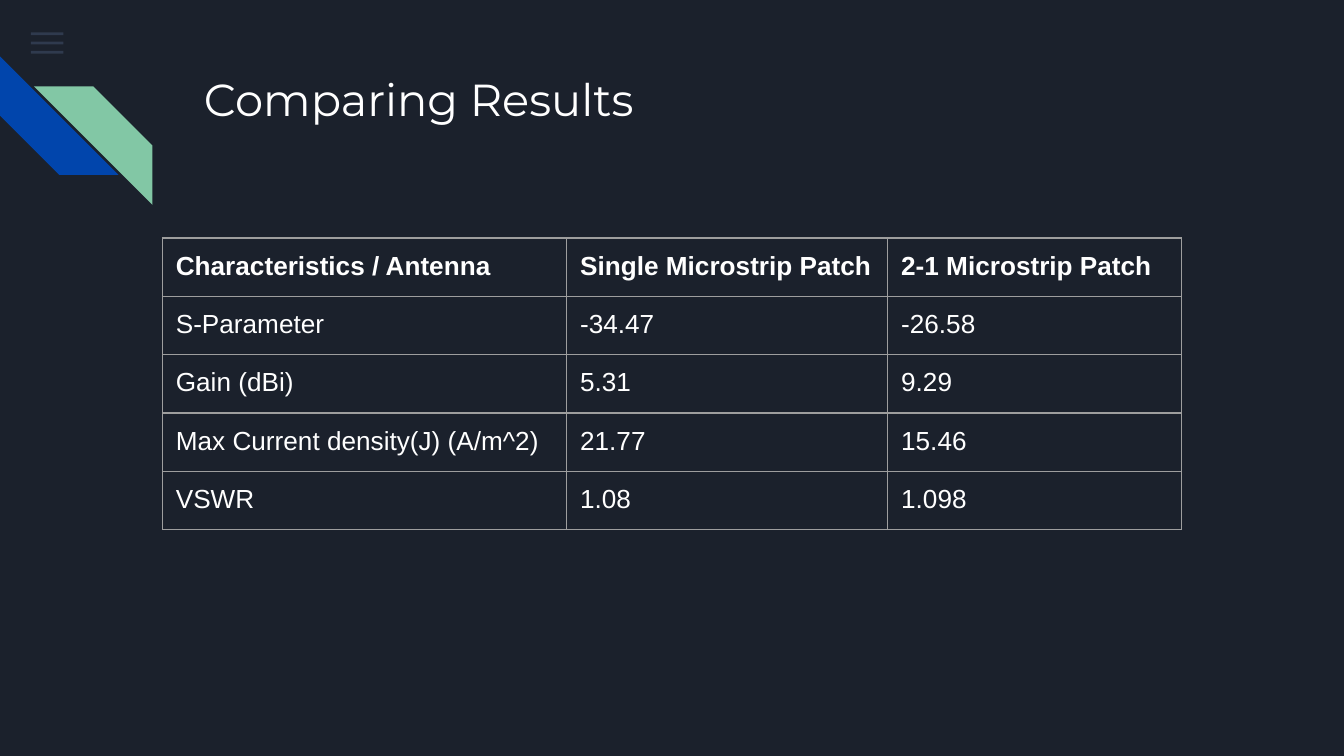
from dataclasses import dataclass

from lxml.etree import SubElement
from pptx import Presentation
from pptx.dml.color import RGBColor
from pptx.enum.shapes import MSO_SHAPE as Shape
from pptx.enum.text import MSO_ANCHOR as Anchor
from pptx.oxml import parse_xml
from pptx.oxml.ns import nsdecls, qn
from pptx.slide import Slide
from pptx.table import _Cell as Cell
from pptx.text.text import TextFrame
from pptx.util import Pt

COLORS = {
    "background": "1B212C",
    "menu": "55688B",
    "blue": "0145AC",
    "green": "82C7A5",
    "text": "FFFFFF",
    "border": "9E9E9E",
}
INSET = 7.2
ROW_HEIGHT = 30
COL_WIDTHS = (216.6, 172, 157.6)
ROWS = (
    ("Characteristics / Antenna", "Single Microstrip Patch", "2-1 Microstrip Patch"),
    ("S-Parameter", "-34.47", "-26.58"),
    ("Gain (dBi)", "5.31", "9.29"),
    ("Max Current density(J) (A/m^2)", "21.77", "15.46"),
    ("VSWR", "1.08", "1.098"),
)


@dataclass(frozen=True)
class Block:
    kind: Shape
    left: float
    top: float
    width: float
    height: float
    color: str
    alpha: int = 100
    rotation: float = 0
    flip: bool = False


MENU_BARS = [
    Block(Shape.RECTANGLE, 16.6, 17.3 + 4.95 * i, 17.4, 1.5, "menu", alpha=36)
    for i in range(3)
]
STRIPES = [
    Block(Shape.DIAGONAL_STRIPE, 0, 30.2, 63.5, 63.5, "blue", rotation=270),
    Block(Shape.DIAGONAL_STRIPE, 18.2, 46.3, 63.5, 63.5, "green", flip=True),
]


def rgb(name: str) -> RGBColor:
    return RGBColor.from_string(COLORS[name])


def draw_block(s: Slide, block: Block) -> None:
    sp = s.shapes.add_shape(
        block.kind, Pt(block.left), Pt(block.top), Pt(block.width), Pt(block.height)
    )
    sp.shadow.inherit = False
    sp.fill.solid()
    sp.fill.fore_color.rgb = rgb(block.color)
    sp.line.fill.background()
    sp.rotation = block.rotation
    if block.flip:
        sp._element.spPr.find(qn("a:xfrm")).set("flipH", "1")
    if block.alpha < 100:
        color = sp._element.spPr.find(qn("a:solidFill"))[0]
        SubElement(color, qn("a:alpha")).set("val", str(block.alpha * 1000))


def write(tf: TextFrame, text: str, font: str, size: float, bold: bool = False) -> None:
    tf.text = text
    r = tf.paragraphs[0].runs[0]
    r.font.name = font
    r.font.size = Pt(size)
    r.font.bold = bold
    r.font.color.rgb = rgb("text")


def set_margins(box: TextFrame | Cell) -> None:
    box.margin_left = box.margin_right = Pt(INSET)
    box.margin_top = box.margin_bottom = Pt(INSET)


def draw_title(s: Slide, text: str) -> None:
    tf = s.shapes.add_textbox(Pt(102.2), Pt(31), Pt(554.4), Pt(72)).text_frame
    tf.word_wrap = True
    tf.vertical_anchor = Anchor.TOP
    set_margins(tf)
    write(tf, text, "Montserrat", 24)


def add_borders(cell: Cell) -> None:
    tcPr = cell._tc.get_or_add_tcPr()
    for i, side in enumerate(("lnL", "lnR", "lnT", "lnB")):
        tcPr.insert(i, parse_xml(
            f'<a:{side} {nsdecls("a")} w="{Pt(0.75)}"><a:solidFill>'
            f'<a:srgbClr val="{COLORS["border"]}"/></a:solidFill></a:{side}>'
        ))


def draw_table(s: Slide) -> None:
    table = s.shapes.add_table(
        len(ROWS), len(COL_WIDTHS), Pt(87), Pt(127.5),
        Pt(sum(COL_WIDTHS)), Pt(ROW_HEIGHT * len(ROWS)),
    ).table
    table.first_row = table.horz_banding = False
    for column, width in zip(table.columns, COL_WIDTHS):
        column.width = Pt(width)
    for i, values in enumerate(ROWS):
        table.rows[i].height = Pt(ROW_HEIGHT)
        for j, value in enumerate(values):
            cell = table.cell(i, j)
            set_margins(cell)
            cell.fill.background()
            add_borders(cell)
            write(cell.text_frame, value, "Arial", 14, bold=i == 0)


def main() -> None:
    prs = Presentation()
    prs.slide_width, prs.slide_height = Pt(720), Pt(405)
    s = prs.slides.add_slide(prs.slide_layouts[6])
    s.background.fill.solid()
    s.background.fill.fore_color.rgb = rgb("background")
    for block in MENU_BARS + STRIPES:
        draw_block(s, block)
    draw_title(s, "Comparing Results")
    draw_table(s)
    prs.save("out.pptx")


if __name__ == "__main__":
    main()
